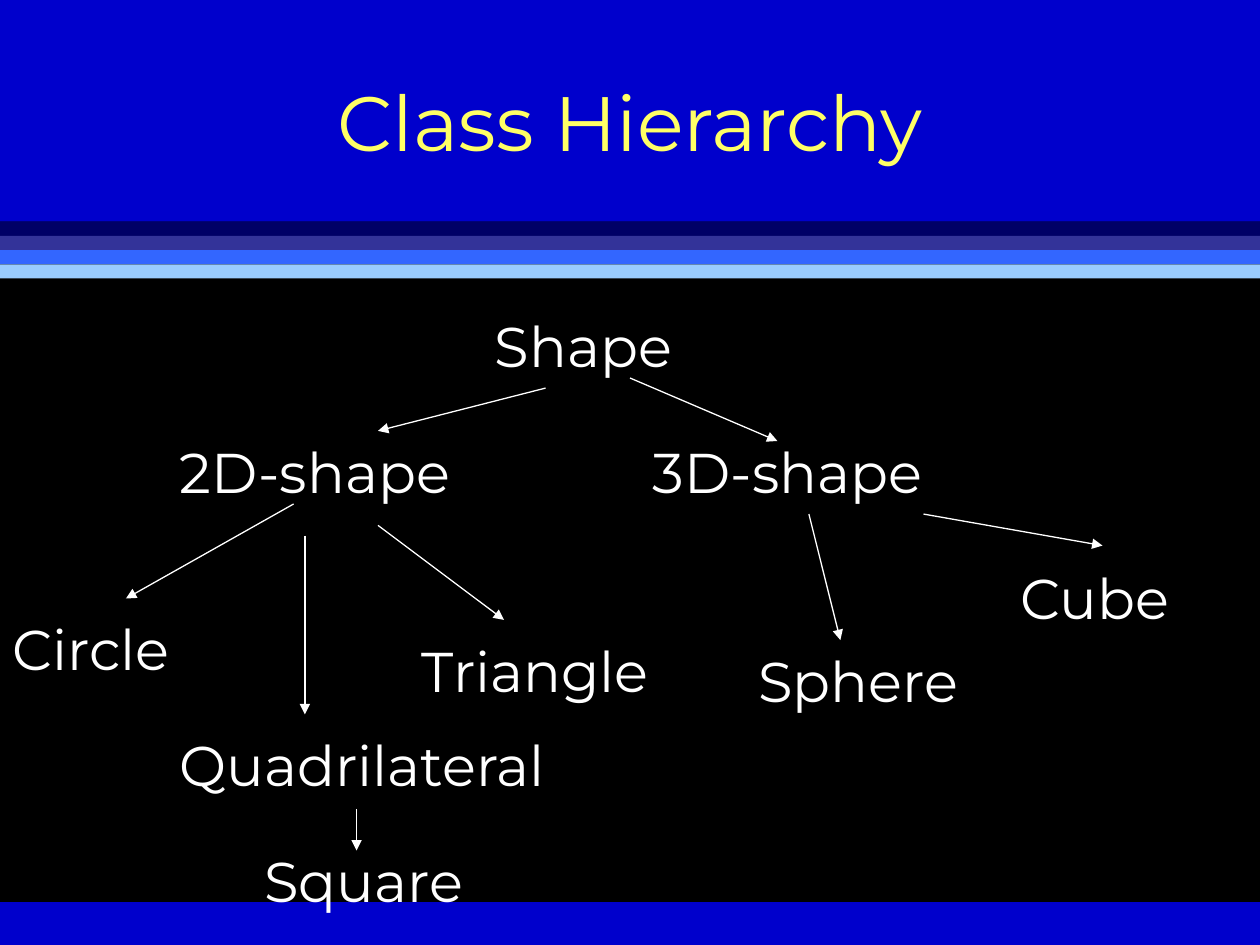
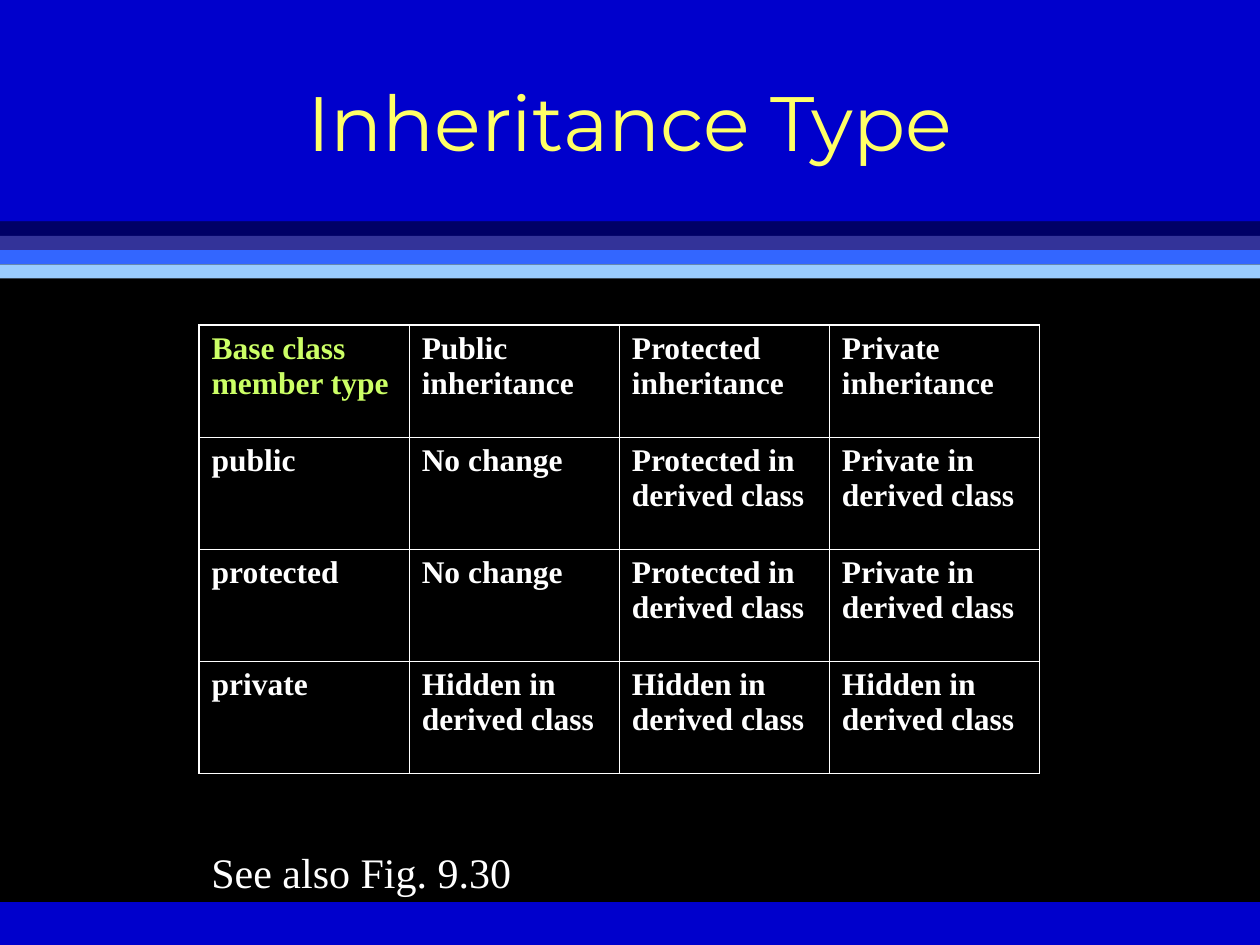
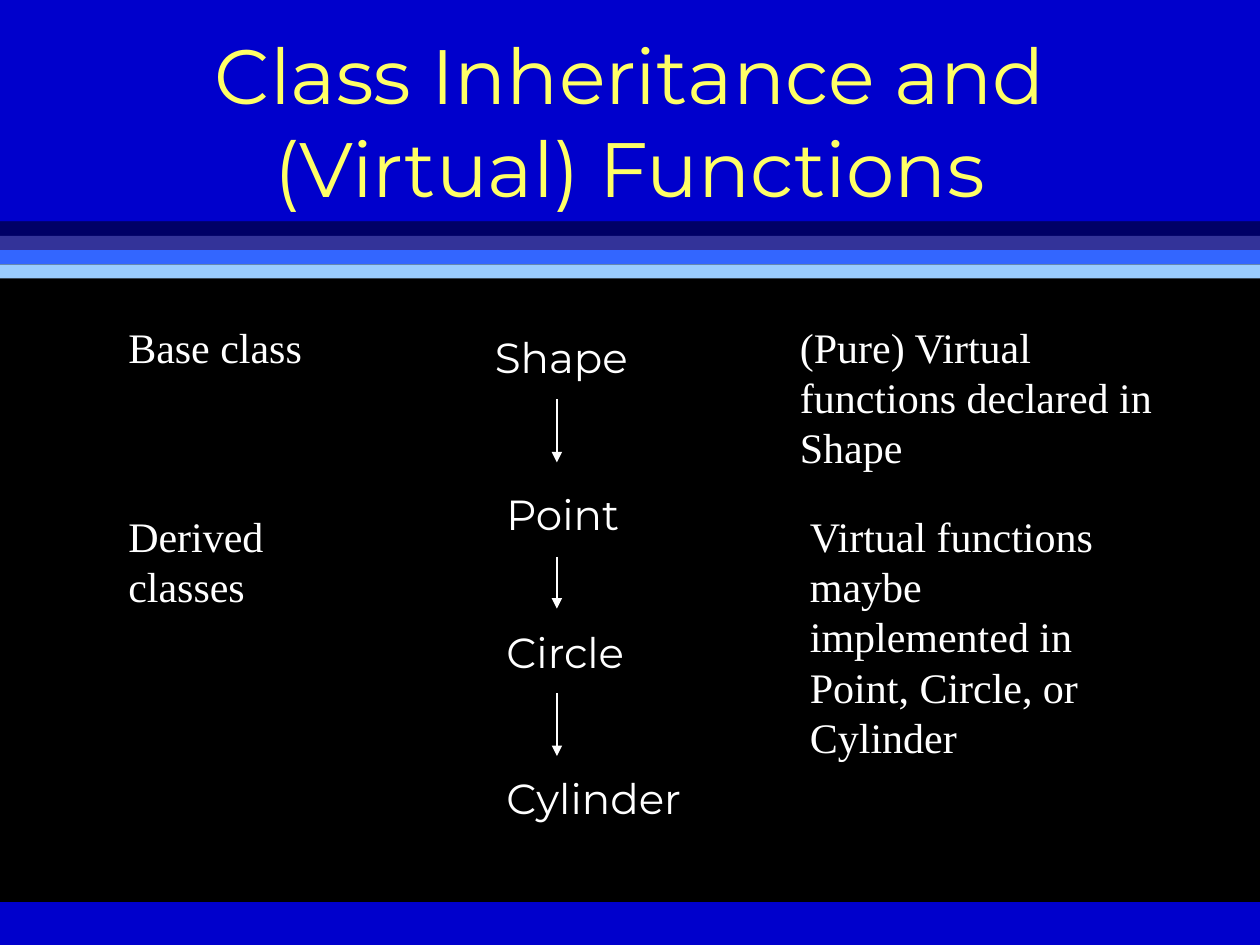
"""Build three slides on class hierarchy and inheritance."""
from lxml.etree import SubElement
from pptx import Presentation
from pptx.dml.color import RGBColor
from pptx.enum.shapes import MSO_CONNECTOR, MSO_SHAPE
from pptx.enum.text import MSO_ANCHOR, MSO_AUTO_SIZE, PP_ALIGN
from pptx.oxml.ns import qn
from pptx.util import Inches, Pt

SANS, SERIF = "Montserrat", "Times New Roman"
WHITE, YELLOW, LIME = "FFFFFF", "FFFF66", "CCFF66"
BLACK, BLUE, GREY = "000000", "0000CC", "969696"
STRIPES = ["000066", "333399", "3366FF", "99CCFF"]
STRIPE_TOP, STRIPE_H = 1.76, 0.1125


def rgb(value):
    """Return the colour for a hex string."""
    return RGBColor.from_string(value)


def style(p, size, font, color=WHITE, bold=False):
    """Set the font of a paragraph."""
    p.font.size = Pt(size)
    p.font.name = font
    p.font.color.rgb = rgb(color)
    p.font.bold = bold


prs = Presentation()
prs.slide_width, prs.slide_height = Inches(10), Inches(7.5)
fill = prs.slide_master.background.fill
fill.solid()
fill.fore_color.rgb = rgb(GREY)

layout = prs.slide_layouts.get_by_name("Title Only")
title = layout.placeholders[0]
title.left, title.top = Inches(0.75), Inches(0.33)
title.width, title.height = Inches(8.5), Inches(1.25)

slides = []
for text in ["Class Hierarchy", "Inheritance Type",
             "Class Inheritance and (Virtual) Functions"]:
    s = prs.slides.add_slide(layout)
    tf = s.shapes.title.text_frame
    tf.text = text
    tf.auto_size = MSO_AUTO_SIZE.NONE
    tf.vertical_anchor = MSO_ANCHOR.MIDDLE
    tf.paragraphs[0].alignment = PP_ALIGN.CENTER
    style(tf.paragraphs[0], 44, SANS, YELLOW)
    slides.append(s)
hierarchy, types, functions = slides

bands = [(1.5, 6, BLACK), (7.16, 0.34, BLUE), (0, STRIPE_TOP, BLUE)]
bands += [(STRIPE_TOP + i * STRIPE_H, STRIPE_H, color)
          for i, color in enumerate(STRIPES)]
for i, (top, height, color) in enumerate(bands):
    sp = hierarchy.shapes.add_shape(
        MSO_SHAPE.RECTANGLE, 0, Inches(top), prs.slide_width, Inches(height))
    sp.shadow.inherit = False
    sp.fill.solid()
    sp.fill.fore_color.rgb = rgb(color)
    sp.line.fill.background()
    sp.name = f"Band {i + 1}"
    sp.element.nvSpPr.cNvPr.set("id", str(20 + i))
    layout.shapes.element.insert(2 + i, sp.element)

rows = [
    ["Base class member type", "Public inheritance",
     "Protected inheritance", "Private inheritance"],
    ["public", "No change",
     "Protected in derived class", "Private in derived class"],
    ["protected", "No change",
     "Protected in derived class", "Private in derived class"],
    ["private"] + ["Hidden in derived class"] * 3,
]
last = len(rows) - 1
table = types.shapes.add_table(4, 4, Inches(1.58), Inches(2.58),
                               Inches(6.67), Inches(3.56)).table
table.first_row = table.horz_banding = False
for r, row in enumerate(rows):
    for c, text in enumerate(row):
        cell = table.cell(r, c)
        cell.text = text
        style(cell.text_frame.paragraphs[0], 18, SERIF,
              LIME if r == c == 0 else WHITE, True)
        cell.fill.background()
        edges = [("L", c == 0), ("R", c == last), ("T", r == 0), ("B", r == last)]
        for i, (side, outer) in enumerate(edges):
            tc_pr = cell._tc.tcPr
            ln = SubElement(tc_pr, qn(f"a:ln{side}"),
                            w=str(Pt(1.08 if outer else 0.45)))
            SubElement(SubElement(ln, qn("a:solidFill")),
                       qn("a:srgbClr"), val=WHITE)
            tc_pr.insert(i, ln)

labels = [
    (hierarchy, 32, SANS, [
        ("Shape", 3.83, 2.42, 2.08, 0.64),
        ("2D-shape", 1.33, 3.42, 2.67, 0.64),
        ("3D-shape", 5.08, 3.42, 2.92, 0.64),
        ("Circle", 0, 4.83, 1.75, 0.64),
        ("Quadrilateral", 1.33, 5.75, 3.5, 0.64),
        ("Triangle", 3.25, 5, 2.33, 0.64),
        ("Sphere", 5.92, 5.08, 2.17, 0.64),
        ("Cube", 8, 4.42, 1.67, 0.64),
        ("Square", 2, 6.67, 2.42, 0.64),
    ]),
    (types, 24, SERIF, [("See also Fig. 9.30", 1.58, 6.67, 3.33, 0.5)]),
    (functions, 24, SANS, [
        ("Shape", 3.83, 2.58, 1.33, 0.5),
        ("Point", 3.92, 3.83, 1.58, 0.5),
        ("Circle", 3.92, 4.92, 1.33, 0.5),
        ("Cylinder", 3.92, 6.08, 2.5, 0.5),
    ]),
    (functions, 24, SERIF, [
        ("(Pure) Virtual functions declared in Shape", 6.25, 2.5, 3.25, 1.3),
        ("Virtual functions maybe implemented in Point, Circle, or Cylinder",
         6.33, 4, 2.67, 2.1),
        ("Base class", 0.92, 2.5, 1.83, 0.5),
        ("Derived classes", 0.92, 4, 1.33, 0.9),
    ]),
]
for s, size, font, items in labels:
    for text, *box in items:
        tf = s.shapes.add_textbox(*map(Inches, box)).text_frame
        tf.word_wrap = True
        tf.auto_size = MSO_AUTO_SIZE.SHAPE_TO_FIT_TEXT
        tf.text = text
        style(tf.paragraphs[0], size, font)

arrows = [
    (hierarchy, [
        (4.33, 3.08, 3, 3.42),
        (5, 3, 6.17, 3.5),
        (2.33, 4, 1, 4.75),
        (2.42, 4.25, 2.42, 5.67),
        (3, 4.17, 4, 4.92),
        (6.42, 4.08, 6.67, 5.08),
        (7.33, 4.08, 8.75, 4.33),
        (2.83, 6.42, 2.83, 6.75),
    ]),
    (functions, [(4.42, top, 4.42, bottom) for top, bottom in
                 [(3.17, 3.67), (4.42, 4.83), (5.5, 6)]]),
]
for s, ends in arrows:
    for points in ends:
        line = s.shapes.add_connector(MSO_CONNECTOR.STRAIGHT, *map(Inches, points))
        line.line.color.rgb = rgb(WHITE)
        line.line.width = Pt(0.75)
        sp_pr = line.element.spPr
        SubElement(sp_pr.find(qn("a:ln")), qn("a:tailEnd"), type="triangle")
        SubElement(sp_pr, qn("a:effectLst"))

prs.save("out.pptx")
